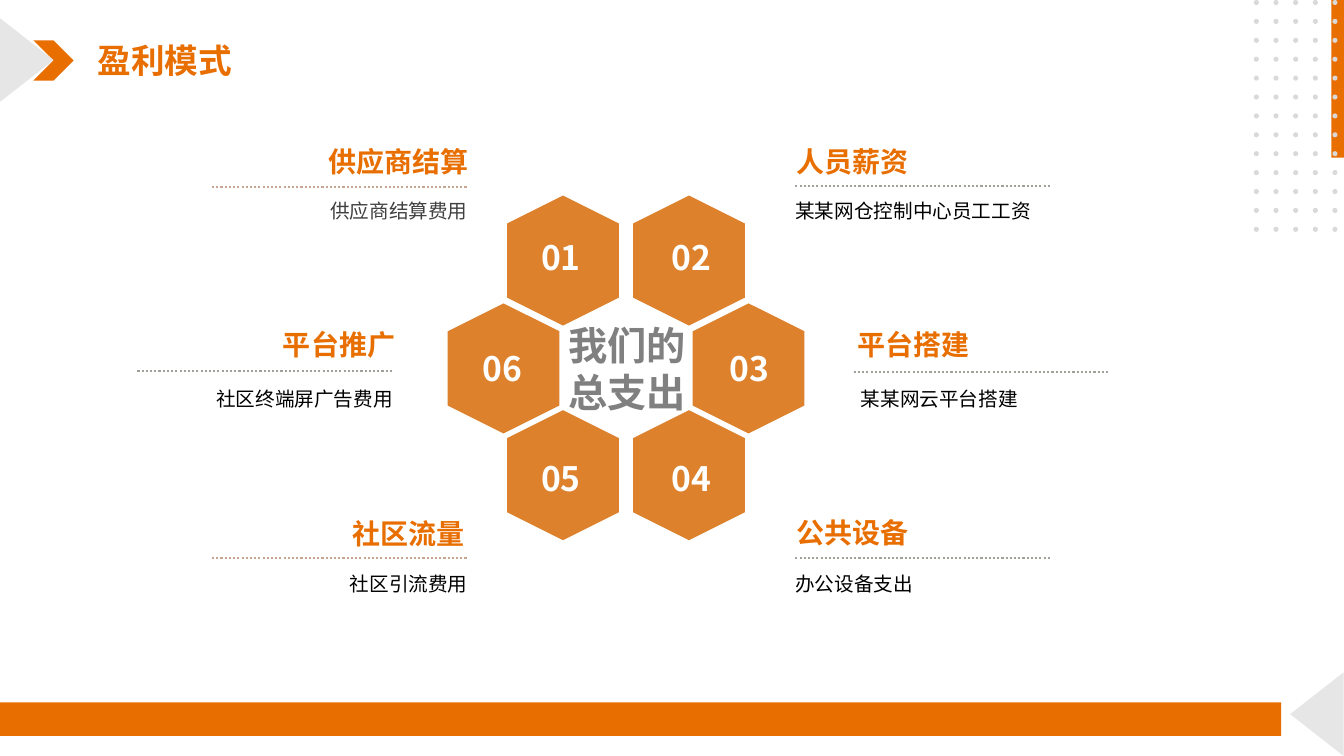
from collections import namedtuple

from lxml import etree
from pptx import Presentation
from pptx.dml.color import RGBColor
from pptx.enum.dml import MSO_LINE
from pptx.enum.shapes import MSO_CONNECTOR, MSO_SHAPE
from pptx.enum.text import MSO_ANCHOR, MSO_AUTO_SIZE, PP_ALIGN
from pptx.oxml.ns import qn
from pptx.util import Pt

FONT = "Noto Sans CJK SC"
COLORS = {
    "orange": "E86E00",
    "hexagon": "DD812C",
    "light": "E7E6E6",
    "dot": "D9D9D9",
    "gray": "808080",
    "dark": "404040",
    "black": "000000",
    "white": "FFFFFF",
    "rule": "A0A299",
    "warm_rule": "C8A591",
}
RECTANGLE = MSO_SHAPE.RECTANGLE
CHEVRON = MSO_SHAPE.CHEVRON
TRIANGLE = MSO_SHAPE.ISOSCELES_TRIANGLE
HEXAGON = MSO_SHAPE.HEXAGON
OVAL = MSO_SHAPE.OVAL
STRAIGHT = MSO_CONNECTOR.STRAIGHT
DOTTED = MSO_LINE.ROUND_DOT
LEFT, CENTER, RIGHT = PP_ALIGN.LEFT, PP_ALIGN.CENTER, PP_ALIGN.RIGHT
TOP, MIDDLE = MSO_ANCHOR.TOP, MSO_ANCHOR.MIDDLE
FIT_SHAPE, FIXED = MSO_AUTO_SIZE.SHAPE_TO_FIT_TEXT, MSO_AUTO_SIZE.NONE

RULE_LENGTH = 182.6
BODY_WIDTH = 244

Expense = namedtuple(
    "Expense",
    "heading body align heading_edge heading_top rule_edge rule_top "
    "body_edge body_top rule_color body_color",
)
EXPENSES = [
    Expense("供应商结算", "供应商结算费用", RIGHT, 342, 99.6, 334.1, 133.9,
            334.1, 137.2, "warm_rule", "dark"),
    Expense("人员薪资", "某某网仓控制中心员工工资", LEFT, 561.6, 99.6, 568.1, 133.2,
            568.1, 137.2, "rule", "black"),
    Expense("平台搭建", "某某网云平台搭建", LEFT, 605.5, 230.4, 609.8, 265.7,
            614.9, 271.4, "rule", "black"),
    Expense("公共设备", "办公设备支出", LEFT, 561.6, 365, 568.1, 398.9,
            568.1, 403.6, "rule", "black"),
    Expense("社区流量", "社区引流费用", RIGHT, 339.1, 365.4, 334.1, 398.9,
            334.1, 403.6, "warm_rule", "black"),
    Expense("平台推广", "社区终端屏广告费用", RIGHT, 289.4, 230.4, 280.8, 265,
            280.8, 271.4, "rule", "black"),
]
HEXAGON_POSITIONS = [(355.7, 146.2), (445.7, 146.2), (488.2, 223.2),
                     (445.7, 299.5), (355.7, 299.5), (313.2, 223.2)]
NUMBER_POSITIONS = [(384.5, 169.2), (477.4, 169.2), (519.1, 248.4),
                    (477.4, 326.9), (384.5, 326.9), (342.7, 248.4)]


def rgb(name):
    return RGBColor.from_string(COLORS[name])


def add_block(shapes, kind, left, top, width, height, color, rotation=0):
    shape = shapes.add_shape(kind, Pt(left), Pt(top), Pt(width), Pt(height))
    shape.shadow.inherit = False
    shape.fill.solid()
    shape.fill.fore_color.rgb = rgb(color)
    shape.line.fill.background()
    shape.rotation = rotation


def add_text(slide, text, left, top, width, height, *, size, color, bold=False,
             align=LEFT, anchor=TOP, spacing=None, padded=True, wrap=True):
    box = slide.shapes.add_textbox(Pt(left), Pt(top), Pt(width), Pt(height))
    frame = box.text_frame
    frame.word_wrap = wrap
    frame.vertical_anchor = anchor
    frame.auto_size = FIT_SHAPE if padded else FIXED
    if not padded:
        frame.margin_left = frame.margin_right = 0
        frame.margin_top = frame.margin_bottom = 0
    paragraph = frame.paragraphs[0]
    paragraph.alignment = align
    if spacing:
        paragraph.line_spacing = spacing
    run = paragraph.add_run()
    run.text = text
    run.font.size = Pt(size)
    run.font.bold = bold
    run.font.name = FONT
    run.font.color.rgb = rgb(color)
    properties = run._r.get_or_add_rPr()
    etree.SubElement(properties, qn("a:ea"), typeface=FONT)


def add_rule(slide, left, top, color):
    rule = slide.shapes.add_connector(
        STRAIGHT, Pt(left), Pt(top), Pt(left + RULE_LENGTH), Pt(top))
    rule.line.color.rgb = rgb(color)
    rule.line.width = Pt(1.5)
    rule.line.dash_style = DOTTED
    etree.SubElement(rule._element.spPr, qn("a:effectLst"))


def add_decoration(slide):
    shapes = slide.shapes
    add_block(shapes, CHEVRON, 23.8, 28.8, 28.8, 28.8, "orange")
    add_block(shapes, TRIANGLE, -10.8, 23.8, 59.8, 38.2, "light", 90)
    add_block(shapes, TRIANGLE, 910.8, 491, 59.8, 38.2, "light", 270)
    add_block(shapes, RECTANGLE, 0, 501.8, 915.1, 23.8, "orange")
    add_block(shapes, RECTANGLE, 951, 0, 9, 112.6, "orange")
    dots = shapes.add_group_shape().shapes
    for row in range(13):
        for column in range(5):
            add_block(dots, OVAL, 895.6 + 14.04 * column, 13.5 * row,
                      3.6, 3.6, "dot")


def add_ring(slide):
    hexagons = slide.shapes.add_group_shape().shapes
    for left, top in HEXAGON_POSITIONS:
        add_block(hexagons, HEXAGON, left, top, 92.9, 79.9, "hexagon", 90)
    add_text(slide, "我们的总支出", 398.9, 226.1, 107.3, 74.9,
             size=28, color="gray", bold=True)
    for number, (left, top) in enumerate(NUMBER_POSITIONS, 1):
        add_text(slide, f"{number:02}", left, top, 32.4, 33.1, size=24,
                 color="white", bold=True, align=CENTER, anchor=MIDDLE,
                 spacing=0.9, padded=False)


def add_expense(slide, expense):
    def left_of(edge, width):
        return edge - width if expense.align == RIGHT else edge

    heading_width = 20 * len(expense.heading) + 15.8
    add_text(slide, expense.heading,
             left_of(expense.heading_edge, heading_width), expense.heading_top,
             heading_width, 31.7, size=20, color="orange", bold=True,
             align=expense.align, wrap=False)
    add_rule(slide, left_of(expense.rule_edge, RULE_LENGTH),
             expense.rule_top, expense.rule_color)
    add_text(slide, expense.body,
             left_of(expense.body_edge, BODY_WIDTH), expense.body_top,
             BODY_WIDTH, 26.6, size=14, color=expense.body_color,
             align=expense.align, spacing=1.3, padded=False)


def main():
    presentation = Presentation()
    presentation.slide_width = Pt(960)
    presentation.slide_height = Pt(540)
    slide = presentation.slides.add_slide(presentation.slide_layouts[6])
    add_decoration(slide)
    add_text(slide, "盈利模式", 62.6, 25.2, 365, 36,
             size=24, color="orange", bold=True)
    add_ring(slide)
    for expense in EXPENSES:
        add_expense(slide, expense)
    presentation.save("out.pptx")


if __name__ == "__main__":
    main()
